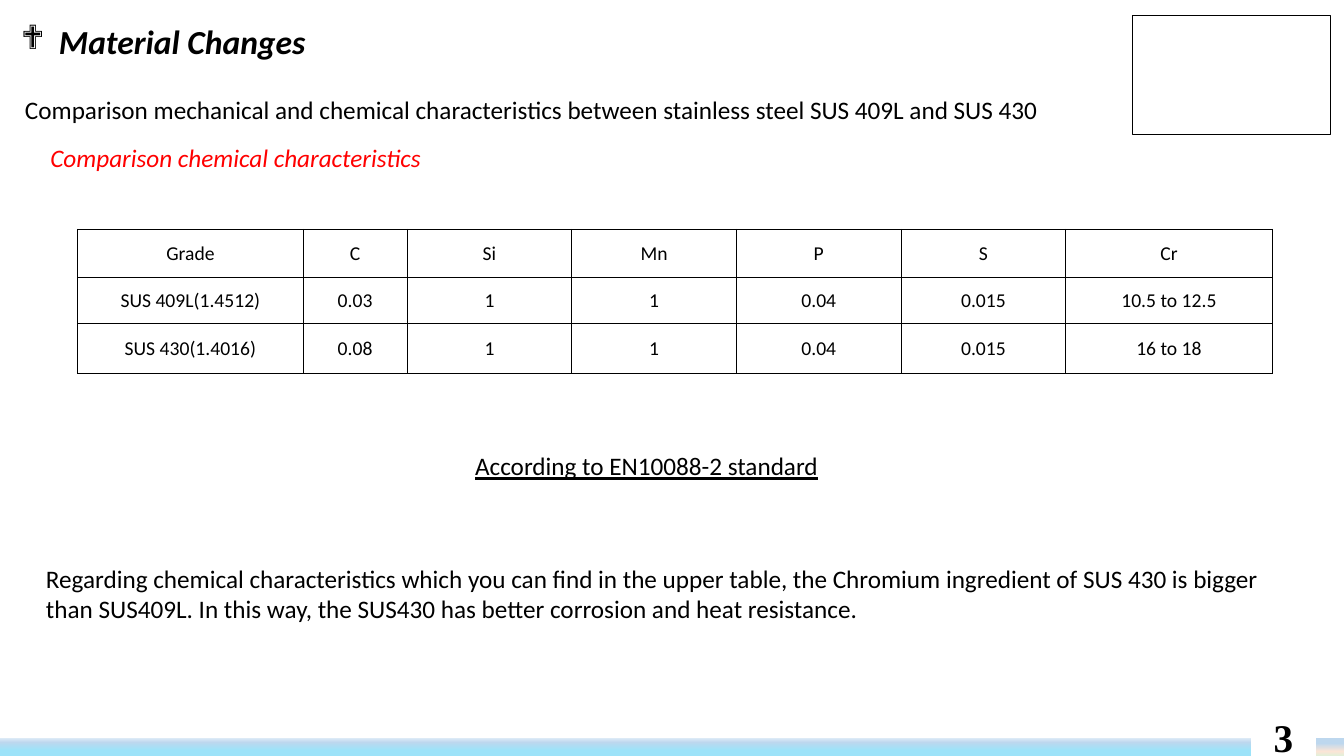
from lxml.etree import SubElement
from pptx import Presentation
from pptx.dml.color import RGBColor
from pptx.enum.shapes import MSO_SHAPE as Shape
from pptx.enum.text import MSO_ANCHOR as Anchor, MSO_AUTO_SIZE as AutoSize, PP_ALIGN as Align
from pptx.oxml.ns import qn
from pptx.util import Cm, Pt

COLORS = {
    "ink": "000000", "accent": "FF0000", "cyan": "9DE3F9", "sky": "BDD7EE",
    "mist": "DEEBF7", "peach": "FBE5D6", "mint": "E2F0D9",
}


def rgb(name):
    return RGBColor.from_string(COLORS[name])


class SlideBuilder:
    """Holds the text style and the current slide, and adds its elements."""

    def __init__(self, slide, font="Calibri", size=18):
        self.slide, self.font, self.size = slide, font, size

    def add_run(self, paragraph, text, size=None, font=None, color="ink", align=Align.LEFT,
                bold=False, italic=False, underline=False):
        paragraph.alignment = align
        run = paragraph.add_run()
        run.text = text
        run.font.name = font or self.font
        run.font.size = Pt(size or self.size)
        run.font.color.rgb = rgb(color)
        run.font.bold, run.font.italic, run.font.underline = bold, italic, underline

    def title(self, text, box, bullet, indent):
        title = self.slide.shapes.title
        title.left, title.top, title.width, title.height = map(Cm, box)
        frame = title.text_frame
        frame.vertical_anchor, frame.auto_size = Anchor.TOP, AutoSize.NONE
        paragraph = frame.paragraphs[0]
        properties = paragraph._p.get_or_add_pPr()
        properties.set("marL", str(Cm(indent)))
        properties.set("indent", str(-Cm(indent)))
        SubElement(properties, qn("a:buFont"), typeface="Wingdings")
        SubElement(properties, qn("a:buChar"), char=bullet)
        self.add_run(paragraph, text, size=24, bold=True, italic=True)

    def text(self, text, box, wrap=True, **style):
        frame = self.slide.shapes.add_textbox(*map(Cm, box)).text_frame
        frame.word_wrap = wrap
        self.add_run(frame.paragraphs[0], text, **style)

    def rectangle(self, box):
        shape = self.slide.shapes.add_shape(Shape.RECTANGLE, *map(Cm, box))
        shape.shadow.inherit = False
        return shape

    def frame(self, box):
        shape = self.rectangle(box)
        shape.fill.background()
        shape.line.color.rgb = rgb("ink")
        shape.line.width = Pt(0.75)

    def band(self, box, stops):
        shape = self.rectangle(box)
        shape.line.fill.background()
        shape.fill.gradient()
        shape.fill.gradient_angle = 270
        stop_list = shape._element.spPr.find(qn("a:gradFill")).find(qn("a:gsLst"))
        for default_stop in list(stop_list):
            stop_list.remove(default_stop)
        for percent, color in stops:
            stop = SubElement(stop_list, qn("a:gs"), pos=str(percent * 1000))
            SubElement(stop, qn("a:srgbClr"), val=COLORS[color])

    def table(self, rows, left, top, widths, heights):
        table = self.slide.shapes.add_table(
            len(rows), len(widths), Cm(left), Cm(top), Cm(sum(widths)), Cm(sum(heights))).table
        table.first_row = table.horz_banding = False
        for column, width in zip(table.columns, widths):
            column.width = Cm(width)
        for row, height, values in zip(table.rows, heights, rows):
            row.height = Cm(height)
            for cell, value in zip(row.cells, values):
                self.borders(cell)
                cell.fill.background()
                cell.vertical_anchor = Anchor.MIDDLE
                self.add_run(cell.text_frame.paragraphs[0], value, size=14, align=Align.CENTER)

    def borders(self, cell):
        properties = cell._tc.get_or_add_tcPr()
        for side in "LRTB":
            line = SubElement(properties, qn(f"a:ln{side}"), w=str(Pt(1)))
            fill = SubElement(line, qn("a:solidFill"))
            SubElement(fill, qn("a:srgbClr"), val=COLORS["ink"])


def main():
    deck = Presentation()
    deck.slide_width, deck.slide_height = Cm(33.87), Cm(19.05)
    page = SlideBuilder(deck.slides.add_slide(deck.slide_layouts[5]))

    page.title("Material Changes", (0.28, 0.41, 8.2, 1.27), "❖", 0.95)
    page.text("Comparison mechanical and chemical characteristics between stainless steel "
              "SUS 409L and SUS 430", (0.38, 2.26, 26.19, 1.02), wrap=False)
    page.text("Comparison chemical characteristics", (1.02, 3.45, 10.08, 1.02),
              wrap=False, color="accent", italic=True)
    page.frame((28.55, 0.38, 4.98, 3.02))

    composition = [
        ("Grade", "C", "Si", "Mn", "P", "S", "Cr"),
        ("SUS 409L(1.4512)", "0.03", "1", "1", "0.04", "0.015", "10.5 to 12.5"),
        ("SUS 430(1.4016)", "0.08", "1", "1", "0.04", "0.015", "16 to 18"),
    ]
    page.table(composition, 1.96, 5.78, [5.68, 2.62] + [4.15] * 4 + [5.2], [1.22, 1.16, 1.25])

    page.text("According to EN10088-2 standard", (11.53, 11.23, 9.53, 1.02),
              align=Align.CENTER, underline=True)
    page.text("Regarding chemical characteristics which you can find in the upper table, "
              "the Chromium ingredient of SUS 430 is bigger than SUS409L. In this way, "
              "the SUS430 has better corrosion and heat resistance.", (0.91, 14.07, 31.95, 1.8))

    page.band((0, 18.6, 31.53, 0.44), [(0, "mist"), (25, "sky"), (71, "cyan")])
    page.band((33.17, 18.6, 0.7, 0.45), [(29, "sky"), (75, "peach"), (100, "mint")])
    page.text("3", (31.85, 17.86, 1.02, 1.45), wrap=False,
              size=28, font="Times New Roman", bold=True)
    deck.save("out.pptx")


if __name__ == "__main__":
    main()
